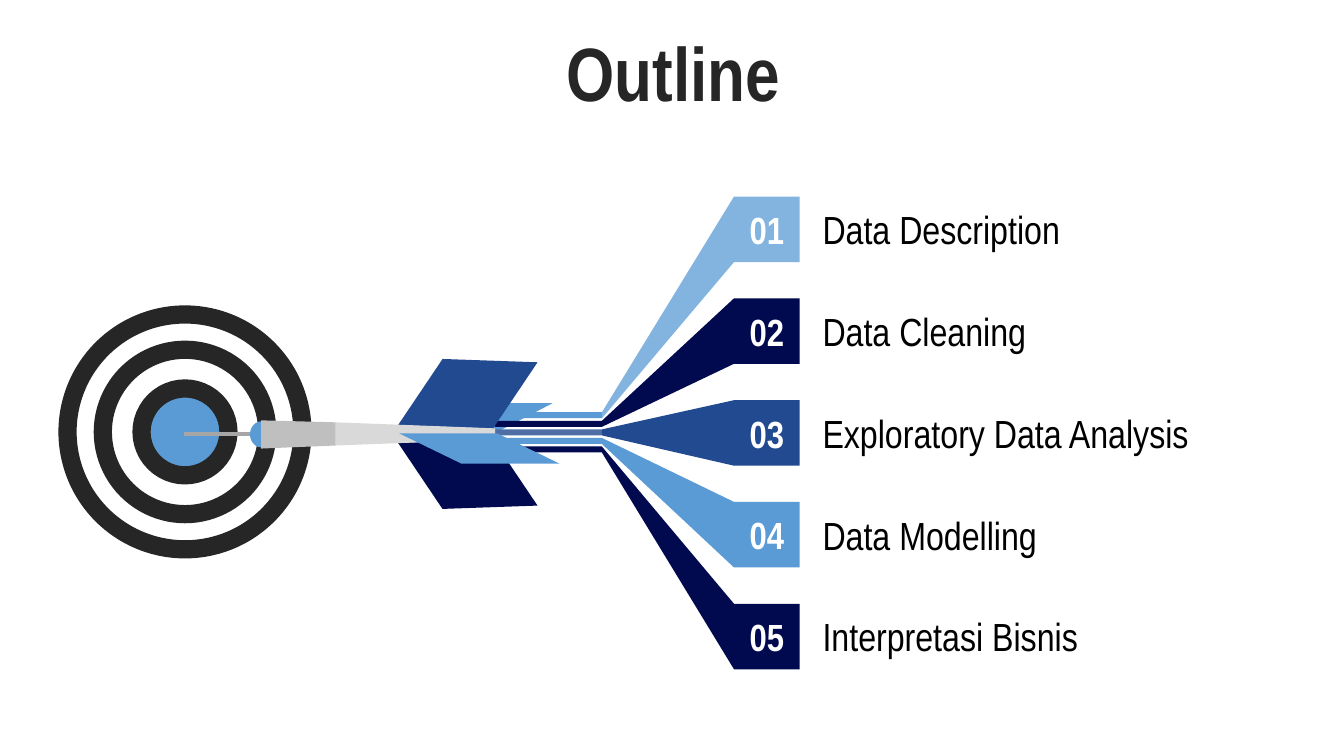
from pptx import Presentation
from pptx import util as u
from pptx.dml.color import RGBColor
from pptx.enum import shapes, text

FONT = "Arial Narrow"
WHITE = RGBColor(0xFF, 0xFF, 0xFF)
BLACK = RGBColor(0x00, 0x00, 0x00)
CHARCOAL = RGBColor(0x26, 0x26, 0x26)
GREY_DARK = RGBColor(0xA6, 0xA6, 0xA6)
GREY = RGBColor(0xBF, 0xBF, 0xBF)
GREY_LIGHT = RGBColor(0xD9, 0xD9, 0xD9)
NAVY = RGBColor(0x01, 0x0A, 0x4F)
ROYAL = RGBColor(0x22, 0x4A, 0x90)
ROYAL_SOFT = RGBColor(0x4E, 0x6E, 0xA6)
BLUE = RGBColor(0x5A, 0x9B, 0xD5)
SKY = RGBColor(0x83, 0xB4, 0xE0)

TOPICS = [
    ("Data Description", SKY, BLUE),
    ("Data Cleaning", NAVY, NAVY),
    ("Exploratory Data Analysis", ROYAL, ROYAL_SOFT),
    ("Data Modelling", BLUE, BLUE),
    ("Interpretasi Bisnis", NAVY, NAVY),
]


def write(sp, content, size, color, bold=False, align=text.PP_ALIGN.LEFT,
          anchor=text.MSO_ANCHOR.TOP, wrap=True):
    """Write one formatted paragraph into a shape."""
    tf = sp.text_frame
    tf.word_wrap = wrap
    tf.vertical_anchor = anchor
    p = tf.paragraphs[0]
    p.alignment = align
    r = p.add_run()
    r.text = content
    r.font.name = FONT
    r.font.size = u.Pt(size)
    r.font.bold = bold
    r.font.color.rgb = color
    return p


def paint(sp, fill, line=None, width=13):
    """Give a shape a flat fill and an optional outline."""
    sp.shadow.inherit = False
    sp.fill.solid()
    sp.fill.fore_color.rgb = fill
    if line is None:
        sp.line.fill.background()
    else:
        sp.line.color.rgb = line
        sp.line.width = u.Pt(width)
    return sp


def preset(s, kind, x, y, w, h, fill, adj=(), rotation=0, flip=False, line=None):
    """Add a painted preset shape."""
    sp = s.shapes.add_shape(kind, u.Inches(x), u.Inches(y), u.Inches(w), u.Inches(h))
    for i, value in enumerate(adj):
        sp.adjustments[i] = value
    sp.rotation = rotation
    if flip:
        sp._element.spPr.xfrm.set("flipH", "1")
    return paint(sp, fill, line)


def polygon(s, points, fill):
    """Add a painted closed outline through points in inches."""
    pts = [(u.Inches(x), u.Inches(y)) for x, y in points]
    fb = s.shapes.build_freeform(*pts[0])
    fb.add_line_segments(pts[1:], close=True)
    return paint(fb.convert_to_shape(), fill)


def add_title(s, x, y, w, h):
    """Place the centred slide title in its box."""
    sp = s.shapes.add_textbox(u.Inches(x), u.Inches(y), u.Inches(w), u.Inches(h))
    p = write(sp, "Outline", 54, CHARCOAL, bold=True,
              align=text.PP_ALIGN.CENTER, anchor=text.MSO_ANCHOR.MIDDLE)
    p.line_spacing = 0.9
    p.space_before = u.Pt(10)


def add_target(s, x, y, size):
    """Draw the rings of the target inside a square box."""
    rings = [(size, WHITE), (0.7 * size, WHITE), (0.37 * size, BLUE)]
    for d, fill in rings:
        inset = (size - d) / 2
        preset(s, shapes.MSO_SHAPE.OVAL, x + inset, y + inset, d, d, fill, line=CHARCOAL)


def add_topic(s, x, y, size, number, topic, color):
    """Place a numbered square and its label to the right."""
    sp = preset(s, shapes.MSO_SHAPE.RECTANGLE, x, y, size, size, color)
    write(sp, f"{number:02d}", 27, WHITE, bold=True, wrap=False,
          align=text.PP_ALIGN.CENTER, anchor=text.MSO_ANCHOR.MIDDLE)
    label = s.shapes.add_textbox(u.Inches(x + 0.78), u.Inches(y + 0.04),
                                 u.Inches(4.4), u.Inches(0.57))
    write(label, topic, 28, BLACK)
    label.text_frame.auto_size = text.MSO_AUTO_SIZE.SHAPE_TO_FIT_TEXT


def add_branches(s, x, y, pitch):
    """Fan five strips out from the dart's tail to the numbered squares."""
    strip_w, strip_h, strip_pitch = 1.06, 0.06, 0.085
    box, box_x = 0.65, x + 2.37
    fork_x = x + strip_w
    for i, (topic, color, strip_color) in enumerate(TOPICS):
        top = y + i * pitch
        strip_y = y + 2.14 + i * strip_pitch
        preset(s, shapes.MSO_SHAPE.RECTANGLE, x, strip_y, strip_w, strip_h, strip_color)
        polygon(s, [(fork_x, strip_y), (box_x, top), (box_x, top + box),
                    (fork_x, strip_y + strip_h)], color)
        add_topic(s, box_x, top, box, i + 1, topic, color)


def add_back_fin(s, x, y):
    """Draw the fin that sits behind the strips."""
    preset(s, shapes.MSO_SHAPE.PARALLELOGRAM, x, y, 1.53, 0.3, BLUE,
           adj=[1.922], rotation=180)


def add_dart(s, x, y):
    """Draw the dart with its tip at the given point."""
    fin = shapes.MSO_SHAPE.PARALLELOGRAM
    fin_x = x + 2.13
    polygon(s, [(x, y - 0.02), (x + 0.8, y - 0.02),
                (x + 0.8, y + 0.02), (x, y + 0.02)], GREY_DARK)
    preset(s, fin, fin_x, y + 0.06, 1.36, 0.67, NAVY, adj=[0.623], rotation=178, flip=True)
    preset(s, fin, fin_x, y - 0.74, 1.36, 0.67, ROYAL, adj=[0.623], rotation=182)
    polygon(s, [(x + 1.5, y - 0.12), (x + 3.08, y - 0.06),
                (x + 3.08, y + 0.05), (x + 1.5, y + 0.11)], GREY_LIGHT)
    preset(s, shapes.MSO_SHAPE.CHORD, x + 0.65, y - 0.13, 0.23, 0.26, BLUE,
           adj=[53.912, 162])
    polygon(s, [(x + 0.76, y - 0.14), (x + 1.5, y - 0.12),
                (x + 1.5, y + 0.11), (x + 0.76, y + 0.14)], GREY)
    preset(s, fin, fin_x, y - 0.01, 1.59, 0.3, BLUE, adj=[2.059], rotation=180, flip=True)


def main():
    """Build the outline slide and save it."""
    prs = Presentation()
    prs.slide_width = u.Inches(13.33)
    prs.slide_height = u.Inches(7.5)
    s = prs.slides.add_slide(prs.slide_layouts[6])
    add_title(s, 0.35, 0.37, 12.66, 0.79)
    add_target(s, 0.67, 3.12, 2.33)
    add_back_fin(s, 3.95, 4)
    add_branches(s, 4.91, 1.95, 1.01)
    add_dart(s, 1.83, 4.31)
    prs.save("out.pptx")


if __name__ == "__main__":
    main()
